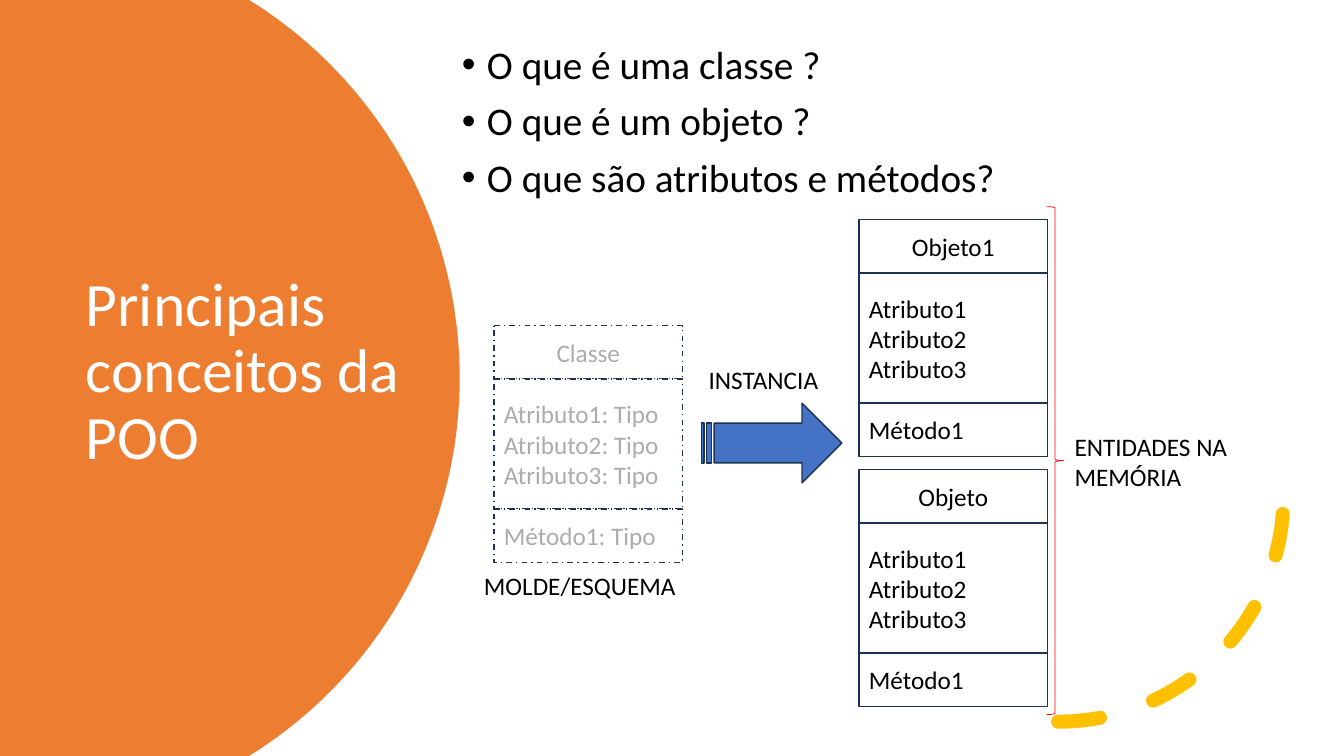
"""Build a slide on classes, objects, attributes and methods."""
import math

import pptx
import pptx.dml.color
import pptx.enum.dml
import pptx.enum.shapes
import pptx.enum.text
import pptx.oxml.ns
import pptx.util

Inches = pptx.util.Inches
Pt = pptx.util.Pt
Shape = pptx.enum.shapes.MSO_SHAPE
Align = pptx.enum.text.PP_ALIGN
Dash = pptx.enum.dml.MSO_LINE
qn = pptx.oxml.ns.qn

TITLE = "Principais conceitos da POO"
QUESTIONS = ["O que é uma classe ?", "O que é um objeto ?", "O que são atributos e métodos?"]
ATTRIBUTES = ["Atributo1", "Atributo2", "Atributo3"]
TYPED_ATTRIBUTES = ["Atributo1: Tipo", "Atributo2: Tipo", "Atributo3: Tipo"]
CARDS = [
    (4.9, 3.23, [["Classe"], TYPED_ATTRIBUTES, ["Método1: Tipo"]], "AFABAB", Dash.DASH_DOT),
    (8.52, 2.18, [["Objeto1"], ATTRIBUTES, ["Método1"]], "000000", None),
    (8.52, 4.66, [["Objeto"], ATTRIBUTES, ["Método1"]], "000000", None),
]
LABELS = [
    (6.93, 3.57, 1.3, 0.4, ["INSTANCIA"], Align.LEFT),
    (4.69, 5.61, 2.12, 0.4, ["MOLDE/ESQUEMA"], Align.CENTER),
    (10.56, 4.23, 1.73, 0.71, ["ENTIDADES NA", "MEMÓRIA"], Align.LEFT),
]
CARD_WIDTH = 1.87
ROW_HEIGHTS = [0.53, 1.29, 0.53]
OUTLINE = "1E3256"
CIRCLE_X, CIRCLE_Y, CIRCLE_RADIUS = 0.15, 3.75, 4.41
CIRCLE_STEPS = 80


def color(value):
    return pptx.dml.color.RGBColor.from_string(value)


def write(shape, lines, size, ink, align=Align.LEFT, anchor=pptx.enum.text.MSO_ANCHOR.MIDDLE):
    frame = shape.text_frame
    frame.text = "\n".join(lines)
    frame.vertical_anchor = anchor
    for paragraph in frame.paragraphs:
        paragraph.alignment = align
        paragraph.font.name = "Calibri"
        paragraph.font.size = Pt(size)
        paragraph.font.color.rgb = color(ink)
    return frame


def style(shape, fill, line, width, dash=None):
    shape.shadow.inherit = False
    if fill:
        shape.fill.solid()
        shape.fill.fore_color.rgb = color(fill)
    else:
        shape.fill.background()
    if line:
        shape.line.color.rgb = color(line)
        shape.line.width = Pt(width)
        shape.line.dash_style = dash
    else:
        shape.line.fill.background()


def add_shape(slide, kind, box, fill, line, width, dash=None):
    shape = slide.shapes.add_shape(kind, *map(Inches, box))
    style(shape, fill, line, width, dash)
    return shape


def fill_placeholder(shape, box, lines, size, ink):
    shape.left, shape.top, shape.width, shape.height = map(Inches, box)
    frame = write(shape, lines, size, ink)
    frame.auto_size = pptx.enum.text.MSO_AUTO_SIZE.NONE
    frame.word_wrap = True
    for paragraph in frame.paragraphs:
        paragraph.line_spacing = 0.9
    return frame


def add_circle(slide):
    limit = math.asin(CIRCLE_Y / CIRCLE_RADIUS)
    points = []
    for step in range(CIRCLE_STEPS + 1):
        angle = limit * (2 * step / CIRCLE_STEPS - 1)
        x = CIRCLE_X + CIRCLE_RADIUS * math.cos(angle)
        y = CIRCLE_Y + CIRCLE_RADIUS * math.sin(angle)
        points.append((Inches(x), Inches(y)))
    builder = slide.shapes.build_freeform(0, 0)
    builder.add_line_segments(points + [(0, Inches(7.5))], close=True)
    circle = builder.convert_to_shape()
    style(circle, "ED7D31", None, 0)
    slide.shapes.element.insert(2, circle.element)


def add_card(slide, left, top, rows, ink, dash):
    for index, (lines, height) in enumerate(zip(rows, ROW_HEIGHTS)):
        box = (left, top, CARD_WIDTH, height)
        cell = add_shape(slide, Shape.ROUNDED_RECTANGLE, box, "FFFFFF", OUTLINE, 1, dash)
        cell.adjustments[0] = 0
        write(cell, lines, 18, ink, Align.LEFT if index else Align.CENTER)
        top += height


def main():
    presentation = pptx.Presentation()
    presentation.slide_width = Inches(13.33)
    presentation.slide_height = Inches(7.5)
    slide = presentation.slides.add_slide(presentation.slide_layouts[1])
    title, body = slide.placeholders

    add_circle(slide)
    fill_placeholder(title, (0.75, 1.26, 3.5, 4.88), [TITLE], 44, "FFFFFF")
    questions = fill_placeholder(body, (4.48, 0.07, 7.55, 2.3), QUESTIONS, 28, "000000")
    for paragraph in questions.paragraphs:
        paragraph.space_before = Pt(10)
        properties = paragraph._p.get_or_add_pPr()
        properties.set("marL", str(Inches(0.25)))
        properties.set("indent", str(-Inches(0.25)))

    arc = add_shape(slide, Shape.ARC, (8.26, 2.69, 4.47, 4.47), None, "FFC000", 10, Dash.DASH)
    arc.element.spPr.find(qn("a:xfrm")).set("flipV", "1")
    arc.element.spPr.find(qn("a:ln")).set("cap", "rnd")

    for card in CARDS:
        add_card(slide, *card)
    add_shape(slide, Shape.STRIPED_RIGHT_ARROW, (6.96, 4, 1.39, 0.79), "4472C4", OUTLINE, 1)
    for left, top, width, height, lines, align in LABELS:
        label = slide.shapes.add_textbox(*map(Inches, (left, top, width, height)))
        frame = write(label, lines, 18, "000000", align, pptx.enum.text.MSO_ANCHOR.TOP)
        frame.word_wrap = False
        frame.auto_size = pptx.enum.text.MSO_AUTO_SIZE.SHAPE_TO_FIT_TEXT
    add_shape(slide, Shape.RIGHT_BRACE, (10.38, 2.05, 0.17, 5.04), None, "FF0000", 0.5)
    presentation.save("out.pptx")


if __name__ == "__main__":
    main()
